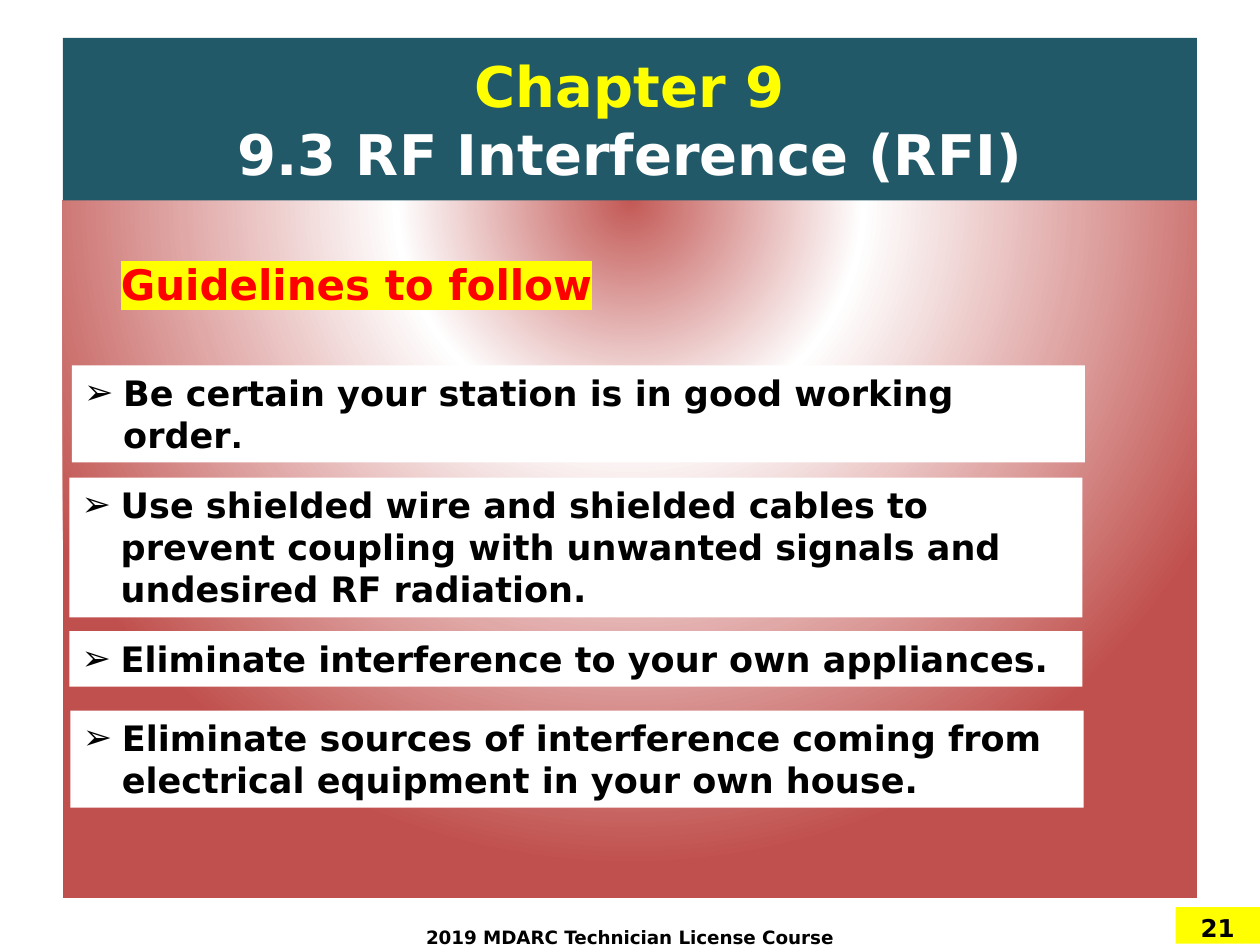
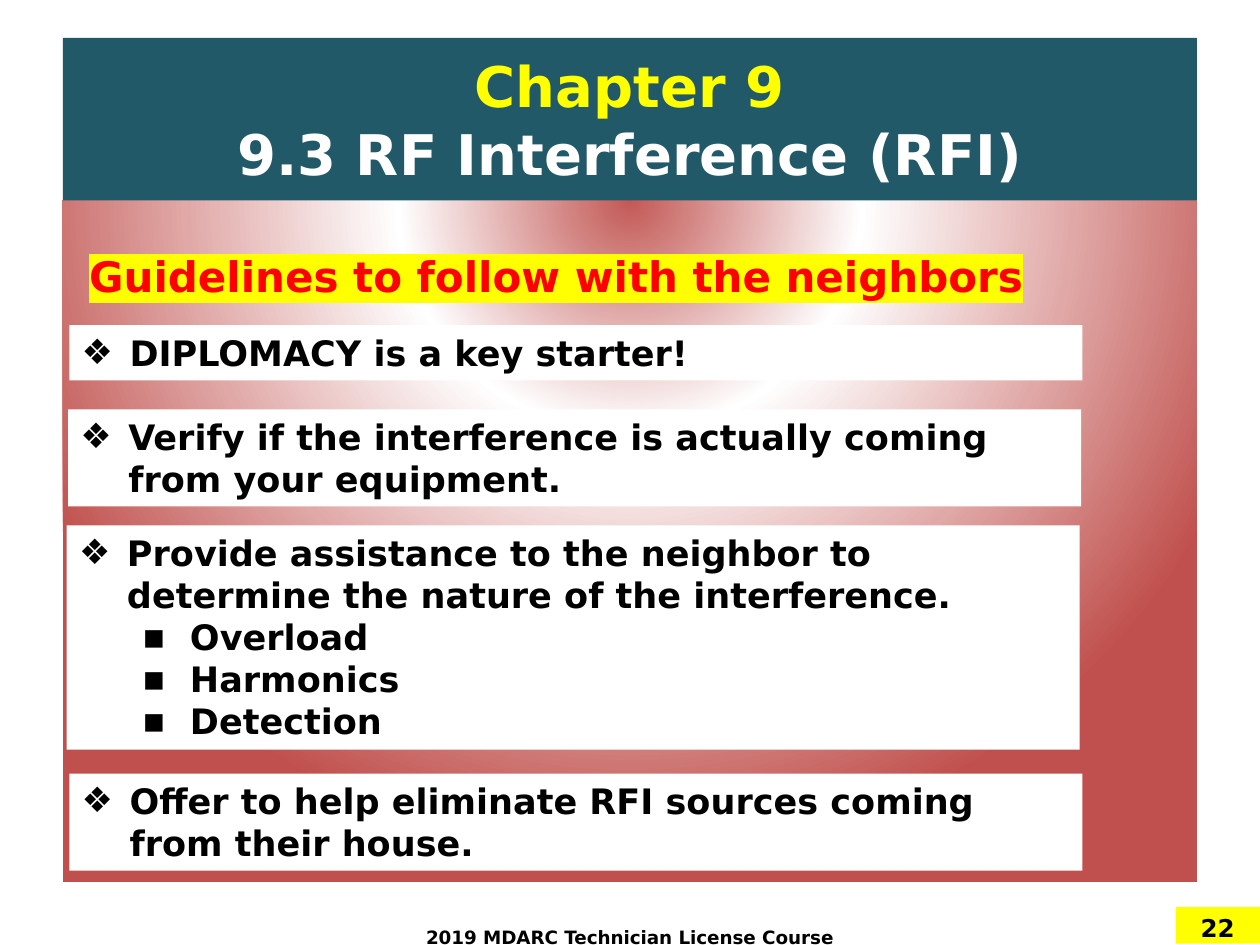
from lxml import etree
from pptx import Presentation
from pptx.dml.color import RGBColor
from pptx.enum import shapes, text
from pptx.oxml import ns, parse_xml
from pptx.util import Inches, Pt

FONT = "DejaVu Sans"
TEAL = RGBColor(0x21, 0x59, 0x68)
YELLOW = RGBColor(0xFF, 0xFF, 0x00)
WHITE = RGBColor(0xFF, 0xFF, 0xFF)
RED = RGBColor(0xFF, 0x00, 0x00)
BLACK = RGBColor(0x00, 0x00, 0x00)
GLOW_CENTER = RGBColor(0xC3, 0x59, 0x56)
GLOW_EDGE = RGBColor(0xC0, 0x50, 0x4D)

CENTER = text.PP_ALIGN.CENTER
TOP = text.MSO_ANCHOR.TOP
MIDDLE = text.MSO_ANCHOR.MIDDLE
BOX_WIDTH = 8.04

GLOW_STOPS = [(0, GLOW_CENTER), (35, WHITE), (100, GLOW_EDGE)]
GLOW_XML = (
    f'<a:gradFill {ns.nsdecls("a")} rotWithShape="1"><a:gsLst>'
    + "".join(f'<a:gs pos="{position * 1000}"><a:srgbClr val="{color}"/></a:gs>'
              for position, color in GLOW_STOPS)
    + '</a:gsLst><a:path path="circle">'
    '<a:fillToRect l="50000" t="-80000" r="50000" b="180000"/></a:path></a:gradFill>'
)

# Each box: left, top, height, and its runs or paragraphs as (level, [(text, size)])
SLIDES = [
    {
        "number": "21",
        "panel_height": 5.54,
        "heading": ("Guidelines to follow", 0.5, 2, 4.66),
        "bullet": "➢",
        "hanging": 0.31,
        "boxes": [
            (0.57, 2.9, 0.77, [(0, [("Be certain your station is in good working order", 20),
                                    (".", 18)])]),
            (0.55, 3.79, 1.11, [(0, [("Use shielded wire and shielded cables to prevent coupling "
                                      "with unwanted signals and undesired RF radiation.", 20)])]),
            (0.55, 5.01, 0.44, [(0, [("Eliminate interference to your own appliances.", 20)])]),
            (0.56, 5.64, 0.77, [(0, [("Eliminate sources of interference coming from electrical "
                                      "equipment in your own house.", 20)])]),
        ],
    },
    {
        "number": "22",
        "panel_height": 5.41,
        "heading": ("Guidelines to follow with the neighbors", 0.54, 1.94, 7.75),
        "bullet": "❖",
        "hanging": 0.38,
        "boxes": [
            (0.55, 2.58, 0.44, [(0, [("DIPLOMACY is a key starter!", 20)])]),
            (0.54, 3.25, 0.77, [(0, [("Verify if the interference is actually coming from "
                                      "your equipment.", 20)])]),
            (0.53, 4.17, 1.78, [(0, [("Provide assistance to the neighbor to determine the "
                                      "nature of the interference.", 20)]),
                                (1, [("Overload", 20)]),
                                (1, [("Harmonics", 20)]),
                                (1, [("Detection", 20)])]),
            (0.55, 6.14, 0.77, [(0, [("Offer to help eliminate RFI sources coming from "
                                      "their house.", 20)])]),
        ],
    },
]


def add_box(slide, left, top, width, height, fill=None, anchor=TOP):
    """Add a borderless rectangle, or a plain text box when there is no fill."""
    place = [Inches(value) for value in (left, top, width, height)]
    if fill is None:
        shape = slide.shapes.add_textbox(*place)
    else:
        shape = slide.shapes.add_shape(shapes.MSO_SHAPE.RECTANGLE, *place)
        shape.shadow.inherit = False
        shape.fill.solid()
        shape.fill.fore_color.rgb = fill
        shape.line.fill.background()
    shape.text_frame.word_wrap = True
    shape.text_frame.vertical_anchor = anchor
    return shape


def add_run(paragraph, words, size, color=BLACK):
    run = paragraph.add_run()
    run.text = words
    for name, value in {"name": FONT, "size": Pt(size), "bold": True}.items():
        setattr(run.font, name, value)
    run.font.color.rgb = color
    return run


presentation = Presentation()
presentation.slide_width = Inches(10)
presentation.slide_height = Inches(7.5)

for content in SLIDES:
    slide = presentation.slides.add_slide(presentation.slide_layouts[6])

    panel = add_box(slide, 0.5, 1.59, 9, content["panel_height"], WHITE)
    solid = panel.fill._xPr.find(ns.qn("a:solidFill"))
    solid.getparent().replace(solid, parse_xml(GLOW_XML))

    title = add_box(slide, 0.5, 0.3, 9, 1.29, TEAL, MIDDLE)
    paragraph = title.text_frame.paragraphs[0]
    paragraph.alignment = CENTER
    add_run(paragraph, "Chapter 9", 32, YELLOW)
    paragraph.add_line_break()
    add_run(paragraph, "9.3 RF Interference (RFI)", 32, WHITE)

    words, left, top, width = content["heading"]
    paragraph = add_box(slide, left, top, width, 0.5).text_frame.paragraphs[0]
    paragraph.alignment = CENTER
    run = add_run(paragraph, words, 24, RED)
    highlight = etree.Element(ns.qn("a:highlight"))
    etree.SubElement(highlight, ns.qn("a:srgbClr"), val=str(YELLOW))
    run.font._element.find(ns.qn("a:latin")).addprevious(highlight)

    for left, top, height, paragraphs in content["boxes"]:
        frame = add_box(slide, left, top, BOX_WIDTH, height, WHITE).text_frame
        for index, (level, runs) in enumerate(paragraphs):
            paragraph = frame.add_paragraph() if index else frame.paragraphs[0]
            paragraph.level = level
            paragraph.alignment = text.PP_ALIGN.LEFT
            properties = paragraph._p.get_or_add_pPr()
            hanging = content["hanging"]
            properties.set("marL", str(Inches(hanging + 0.5 * level)))
            properties.set("indent", str(Inches(-hanging)))
            etree.SubElement(properties, ns.qn("a:buFont"), typeface=FONT)
            bullet = "▪" if level else content["bullet"]
            etree.SubElement(properties, ns.qn("a:buChar"), char=bullet)
            for words, size in runs:
                add_run(paragraph, words, size)

    number = add_box(slide, 9.33, 7.2, 0.67, 0.29, YELLOW)
    footer = add_box(slide, 2.95, 7.3, 4.1, 0.3)
    for shape, words, size in [(number, content["number"], 14),
                               (footer, "2019 MDARC Technician License Course", 10.5)]:
        paragraph = shape.text_frame.paragraphs[0]
        paragraph.alignment = CENTER
        add_run(paragraph, words, size)

presentation.save("out.pptx")
